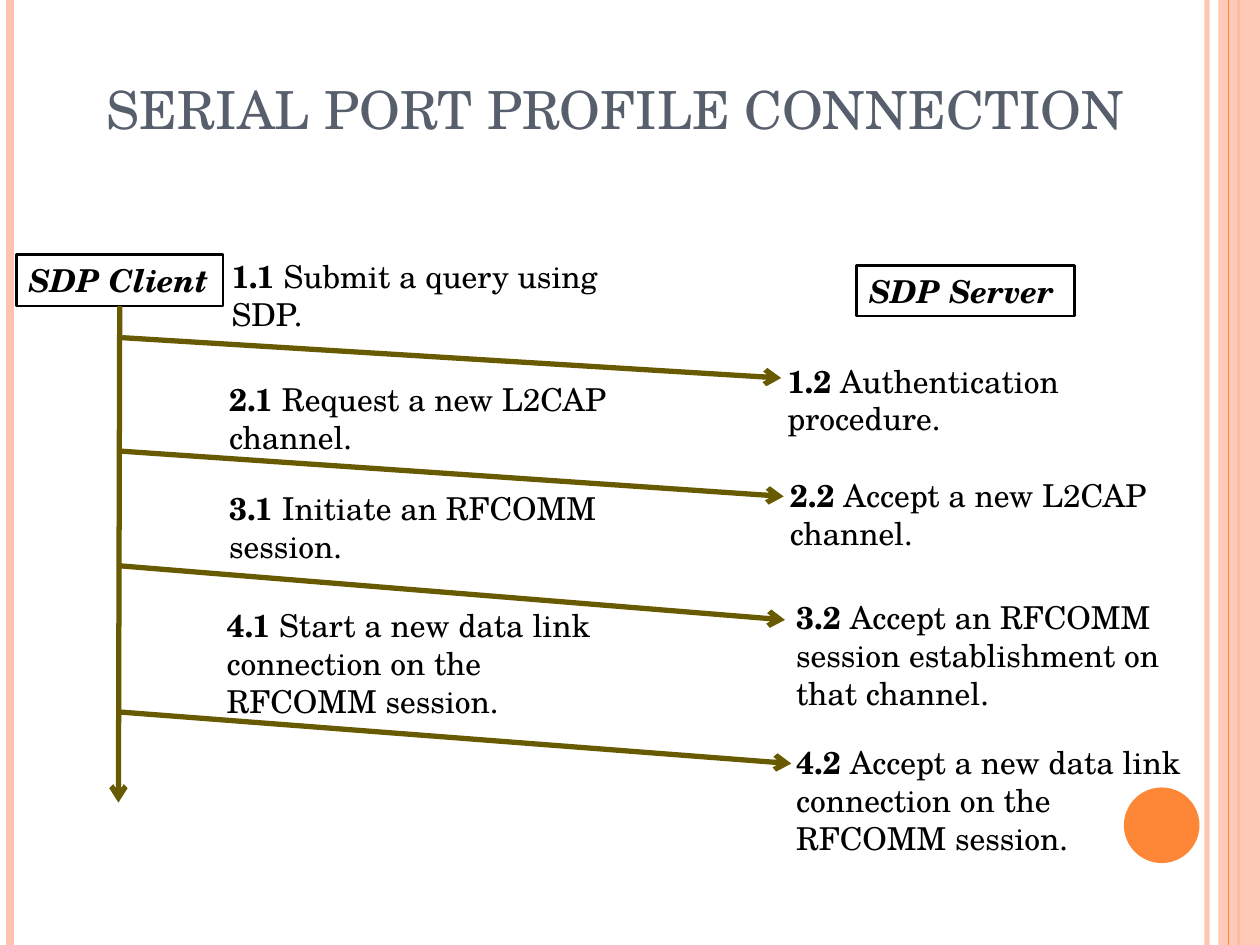
from dataclasses import dataclass
from lxml import etree
from pptx import Presentation
from pptx import util as u
from pptx.dml.color import RGBColor
from pptx.enum import shapes, text
from pptx.oxml import ns
from pptx.slide import Slide

BLACK = RGBColor(0x00, 0x00, 0x00)
OLIVE = RGBColor(0x67, 0x5A, 0x00)
ORANGE = RGBColor(0xFE, 0x86, 0x37)
PEACH = RGBColor(0xFE, 0xC3, 0xAE)
SLATE = RGBColor(0x57, 0x5F, 0x6D)

TITLE = {"size": u.Pt(30), "bold": False}
BODY = {"size": u.Pt(18), "bold": False}
NUMBER = {"size": u.Pt(18), "bold": True}
ROLE = {"size": u.Pt(18), "bold": True, "italic": True}


@dataclass
class SlideBuilder:
    slide: Slide
    font: str = "TeX Gyre Schola"

    def place(self, *lengths):
        return [u.Inches(length) for length in lengths]

    def fade(self, parent, percent):
        color = parent.find(".//" + ns.qn("a:srgbClr"))
        etree.SubElement(color, ns.qn("a:alpha"), val=str(percent * 1000))

    def set_text(self, box, spans, color=BLACK, anchor=text.MSO_ANCHOR.TOP):
        frame = box.text_frame
        frame.word_wrap = True
        frame.vertical_anchor = anchor
        para = frame.paragraphs[0]
        para.alignment = text.PP_ALIGN.LEFT
        for words, style in spans:
            span = para.add_run()
            span.text = words
            for name, value in {"name": self.font, **style}.items():
                setattr(span.font, name, value)
            span.font.color.rgb = color

    def label(self, at, spans, **options):
        box = self.slide.shapes.add_textbox(*self.place(*at))
        self.set_text(box, spans, **options)

    def shape(self, kind, at, fill=None, opacity=100):
        shape = self.slide.shapes.add_shape(kind, *self.place(*at))
        shape.shadow.inherit = False
        if fill is None:
            shape.fill.background()
            return shape
        shape.fill.solid()
        shape.fill.fore_color.rgb = fill
        shape.line.fill.background()
        if opacity < 100:
            self.fade(shape._element.spPr, opacity)
        return shape

    def role(self, at, words):
        box = self.shape(shapes.MSO_SHAPE.RECTANGLE, at)
        box.line.color.rgb = BLACK
        box.line.width = u.Pt(1.5)
        self.set_text(box, [(words, ROLE)])

    def line(self, start, end, color, width, opacity=100, arrow=False):
        line = self.slide.shapes.add_connector(
            shapes.MSO_CONNECTOR.STRAIGHT, *self.place(*start, *end))
        line.line.color.rgb = color
        line.line.width = u.Pt(width)
        properties = line._element.spPr
        outline = properties.find(ns.qn("a:ln"))
        if opacity < 100:
            self.fade(outline, opacity)
        if arrow:
            etree.SubElement(outline, ns.qn("a:tailEnd"), type="arrow")
        etree.SubElement(properties, ns.qn("a:effectLst"))

    def rule(self, x, color, width, opacity=100):
        self.line((x, 0), (x, 7.5), color, width, opacity)

    def message(self, start, end):
        self.line(start, end, OLIVE, 3, arrow=True)

    def step(self, left, top, height, number, words):
        self.label((left, top, 3.36, height), [(number, NUMBER), (" " + words, BODY)])


STEPS = [
    (1.74, 1.99, 0.71, "1.1", "Submit a query using SDP."),
    (6.15, 2.82, 0.71, "1.2", "Authentication procedure."),
    (1.72, 2.97, 0.71, "2.1", "Request a new L2CAP channel."),
    (6.17, 3.73, 0.71, "2.2", "Accept a new L2CAP channel."),
    (1.72, 3.83, 0.71, "3.1", "Initiate an RFCOMM session."),
    (6.22, 4.70, 1.01, "3.2", "Accept an RFCOMM session establishment on that channel."),
    (1.70, 4.76, 1.01, "4.1", "Start a new data link connection on the RFCOMM session."),
    (6.22, 5.85, 1.01, "4.2", "Accept a new data link connection on the RFCOMM session."),
]
MESSAGES = [
    ((0.97, 2.68), (6.20, 3.00)),
    ((0.95, 3.58), (6.22, 3.94)),
    ((0.94, 4.49), (6.23, 4.92)),
    ((0.94, 5.65), (6.28, 6.06)),
    ((0.95, 2.43), (0.94, 6.37)),
]


def main():
    deck = Presentation()
    deck.slide_width, deck.slide_height = u.Inches(10), u.Inches(7.5)
    page = SlideBuilder(deck.slides.add_slide(deck.slide_layouts[6]))

    page.rule(9.58, PEACH, 3, opacity=93)
    page.rule(0.08, PEACH, 4.5)
    page.rule(9.83, ORANGE, 1.5)
    page.shape(shapes.MSO_SHAPE.RECTANGLE, (9.67, 0, 0.33, 7.5), PEACH, opacity=87)
    page.rule(9.75, ORANGE, 0.75)
    page.shape(shapes.MSO_SHAPE.OVAL, (8.92, 6.25, 0.6, 0.6), ORANGE)

    page.label((0.75, -0.09, 8.56, 1.25), [("SERIAL PORT PROFILE CONNECTION", TITLE)],
               color=SLATE, anchor=text.MSO_ANCHOR.BOTTOM)
    page.role((6.8, 2.11, 1.73, 0.4), "SDP Server")
    page.role((0.13, 2.02, 1.64, 0.41), "SDP Client")
    for step in STEPS:
        page.step(*step)
    for start, end in MESSAGES:
        page.message(start, end)

    deck.save("out.pptx")


if __name__ == "__main__":
    main()
